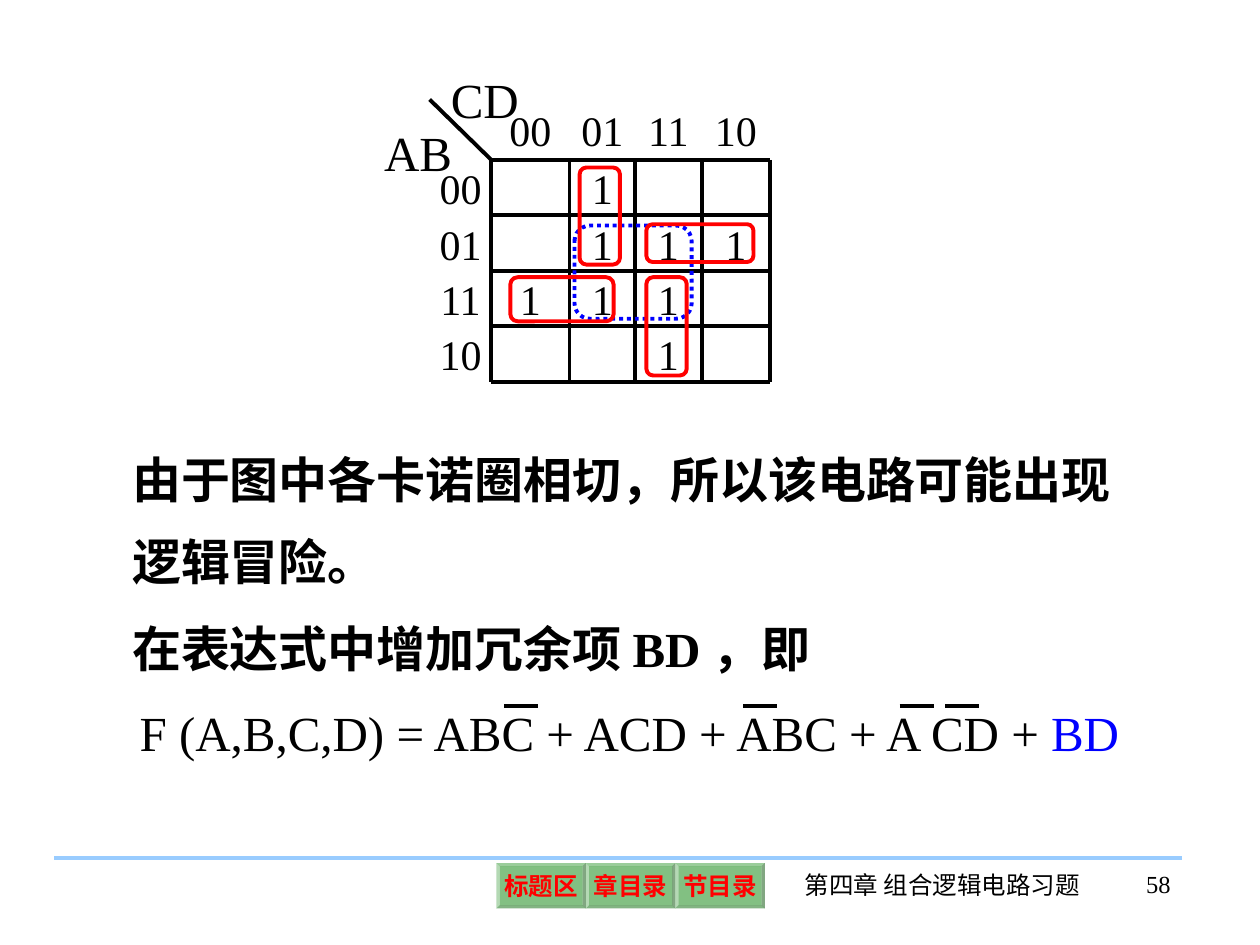
from lxml.etree import SubElement
from pptx import Presentation
from pptx.dml.color import RGBColor
from pptx.enum.dml import MSO_LINE
from pptx.enum.shapes import MSO_CONNECTOR, MSO_SHAPE
from pptx.enum.text import MSO_ANCHOR, PP_ALIGN
from pptx.oxml.ns import qn
from pptx.util import Inches, Pt

FONT = "Times New Roman"
BLACK, RED, BLUE, GREEN, SKY = "000000", "FF0000", "0000FF", "008000", "99CCFF"

# Karnaugh map: codes, ones and grid edges in inches
CODES = ["00", "01", "11", "10"]
MAP_ROWS = ["0100", "0111", "1110", "0010"]
COLUMN_EDGES = [3.9, 4.52, 5.04, 5.57, 6.11]
MAP_TOP, ROW_HEIGHT = 1.27, 0.44
HEAD_LEFT, HEAD_TOP = 3.41, 0.79
AXIS_NAMES = [("AB", (2.95, 0.92, 0.91, 0.57)), ("CD", (3.48, 0.5, 0.91, 0.57))]

# Loops around groups of ones: box, colour, dash
LOOPS = [
    ((4.56, 1.79, 0.93, 0.74), BLUE, MSO_LINE.ROUND_DOT),
    ((4.05, 2.2, 0.82, 0.35), RED, None),
    ((5.13, 2.2, 0.32, 0.78), RED, None),
    ((5.13, 1.78, 0.85, 0.3), RED, None),
    ((4.6, 1.33, 0.32, 0.77), RED, None),
]

# Explanation and formula
EXPLANATION = [
    ("由于图中各卡诺圈相切，所以该电路可能出现逻辑冒险。", (0.95, 3.33, 8.29, 1.41), 1.4),
    ("在表达式中增加冗余项 BD ，即", (0.95, 4.86, 7.38, 0.57), None),
]
FORMULA = [("F (A,B,C,D) = ABC + ACD + ABC + A CD + ", BLACK), ("BD", BLUE)]
OVERBAR_LEFTS, OVERBAR_TOP, OVERBAR_WIDTH = [4, 5.9, 7.14, 7.5], 5.6, 0.27

# Footer
BUTTONS = ["标题区", "章目录", "节目录"]
BUTTON_LEFT, BUTTON_TOP, BUTTON_WIDTH, BUTTON_HEIGHT = 3.94, 6.85, 0.71, 0.36
FOOTER = [
    ("第四章 组合逻辑电路习题", (6.15, 6.86, 2.66, 0.5), PP_ALIGN.CENTER),
    ("58", (8.53, 6.85, 0.86, 0.5), PP_ALIGN.RIGHT),
]


def color(value):
    return RGBColor.from_string(value)


def write(shape, text, size=28, bold=False, fill=BLACK, align=PP_ALIGN.LEFT,
          anchor=MSO_ANCHOR.TOP, inset=(0.1, 0.05), spacing=None, wrap=True):
    """Write a string, or a list of (string, colour) runs, into a shape."""
    frame = shape.text_frame
    frame.word_wrap = wrap
    frame.vertical_anchor = anchor
    frame.margin_left = frame.margin_right = Inches(inset[0])
    frame.margin_top = frame.margin_bottom = Inches(inset[1])
    paragraph = frame.paragraphs[0]
    paragraph.alignment = align
    if spacing:
        paragraph.line_spacing = spacing
    for part, part_color in [(text, fill)] if isinstance(text, str) else text:
        run = paragraph.add_run()
        run.text = part
        run.font.name = FONT
        run.font.size = Pt(size)
        run.font.bold = bold
        run.font.color.rgb = color(part_color)


def add_text(slide, text, box, **text_format):
    write(slide.shapes.add_textbox(*map(Inches, box)), text, **text_format)


def add_line(slide, start, end, stroke=BLACK):
    points = map(Inches, (*start, *end))
    connector = slide.shapes.add_connector(MSO_CONNECTOR.STRAIGHT, *points)
    connector.line.color.rgb = color(stroke)
    connector.line.width = Pt(2.25)
    SubElement(connector._element.spPr, qn("a:effectLst"))


def add_loop(slide, box, stroke, dash):
    shape = slide.shapes.add_shape(MSO_SHAPE.ROUNDED_RECTANGLE, *map(Inches, box))
    shape.shadow.inherit = False
    shape.fill.background()
    shape.line.color.rgb = color(stroke)
    shape.line.width = Pt(2.25)
    if dash:
        shape.line.dash_style = dash


def add_button(slide, text, box):
    shape = slide.shapes.add_shape(MSO_SHAPE.BEVEL, *map(Inches, box))
    shape.adjustments[0] = 0.07
    shape.shadow.inherit = False
    shape.fill.solid()
    shape.fill.fore_color.rgb = color(GREEN)
    fill_color = shape._element.spPr.find(qn("a:solidFill"))[0]
    SubElement(fill_color, qn("a:alpha"), val="49000")
    shape.line.fill.background()
    write(shape, text, size=14, bold=True, fill=RED, align=PP_ALIGN.CENTER,
          anchor=MSO_ANCHOR.MIDDLE, inset=(0.04, 0.04), wrap=False)


def add_map(slide):
    cell_format = dict(size=24, align=PP_ALIGN.CENTER,
                       anchor=MSO_ANCHOR.MIDDLE, inset=(0.02, 0.02))
    row_edges = [MAP_TOP + ROW_HEIGHT * index for index in range(len(CODES) + 1)]
    left, right = COLUMN_EDGES[0], COLUMN_EDGES[-1]
    columns = [(start, end - start) for start, end in zip(COLUMN_EDGES, COLUMN_EDGES[1:])]

    for name, box in AXIS_NAMES:
        add_text(slide, name, box)
    for code, (x, width) in zip(CODES, columns):
        add_text(slide, code, (x, HEAD_TOP, width, MAP_TOP - HEAD_TOP), **cell_format)
    for code, values, y in zip(CODES, MAP_ROWS, row_edges):
        add_text(slide, code, (HEAD_LEFT, y, left - HEAD_LEFT, ROW_HEIGHT), **cell_format)
        for value, (x, width) in zip(values, columns):
            if value == "1":
                add_text(slide, value, (x, y, width, ROW_HEIGHT), **cell_format)

    add_line(slide, (HEAD_LEFT, HEAD_TOP), (left, MAP_TOP))
    for x in COLUMN_EDGES:
        add_line(slide, (x, MAP_TOP), (x, row_edges[-1]))
    for y in row_edges:
        add_line(slide, (left, y), (right, y))
    for loop in LOOPS:
        add_loop(slide, *loop)


def main():
    presentation = Presentation()
    presentation.slide_width, presentation.slide_height = Inches(10), Inches(7.5)
    slide = presentation.slides.add_slide(presentation.slide_layouts[6])

    # Karnaugh map
    add_map(slide)

    # Explanation and formula
    for text, box, spacing in EXPLANATION:
        add_text(slide, text, box, bold=True, spacing=spacing)
    add_text(slide, FORMULA, (1.01, 5.53, 8.14, 0.57))
    for x in OVERBAR_LEFTS:
        add_line(slide, (x, OVERBAR_TOP), (x + OVERBAR_WIDTH, OVERBAR_TOP))

    # Footer
    add_line(slide, (0.43, 6.81), (9.38, 6.81), SKY)
    for index, text in enumerate(BUTTONS):
        x = BUTTON_LEFT + BUTTON_WIDTH * index
        add_button(slide, text, (x, BUTTON_TOP, BUTTON_WIDTH, BUTTON_HEIGHT))
    for text, box, align in FOOTER:
        add_text(slide, text, box, size=14, align=align)

    presentation.save("out.pptx")


if __name__ == "__main__":
    main()
